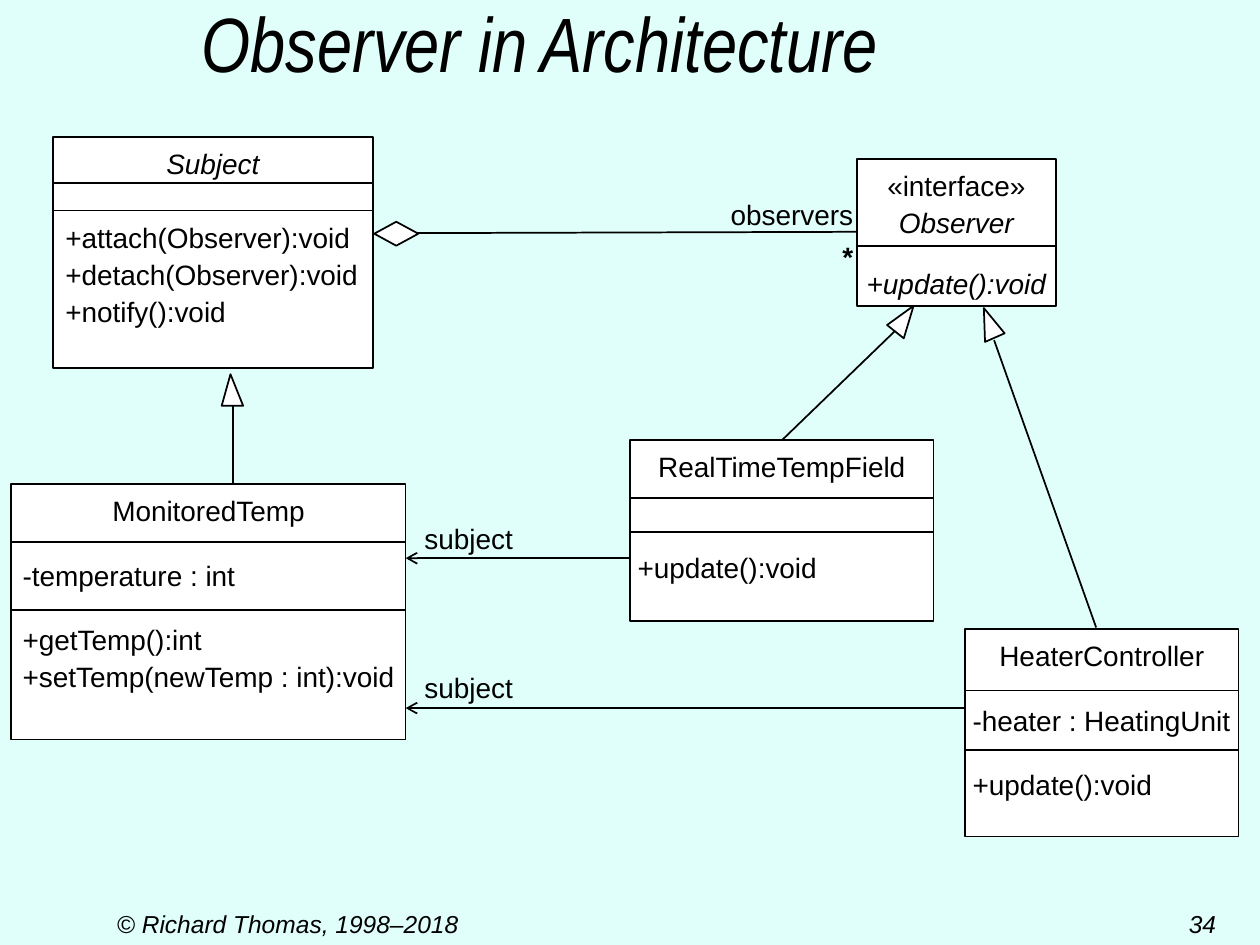
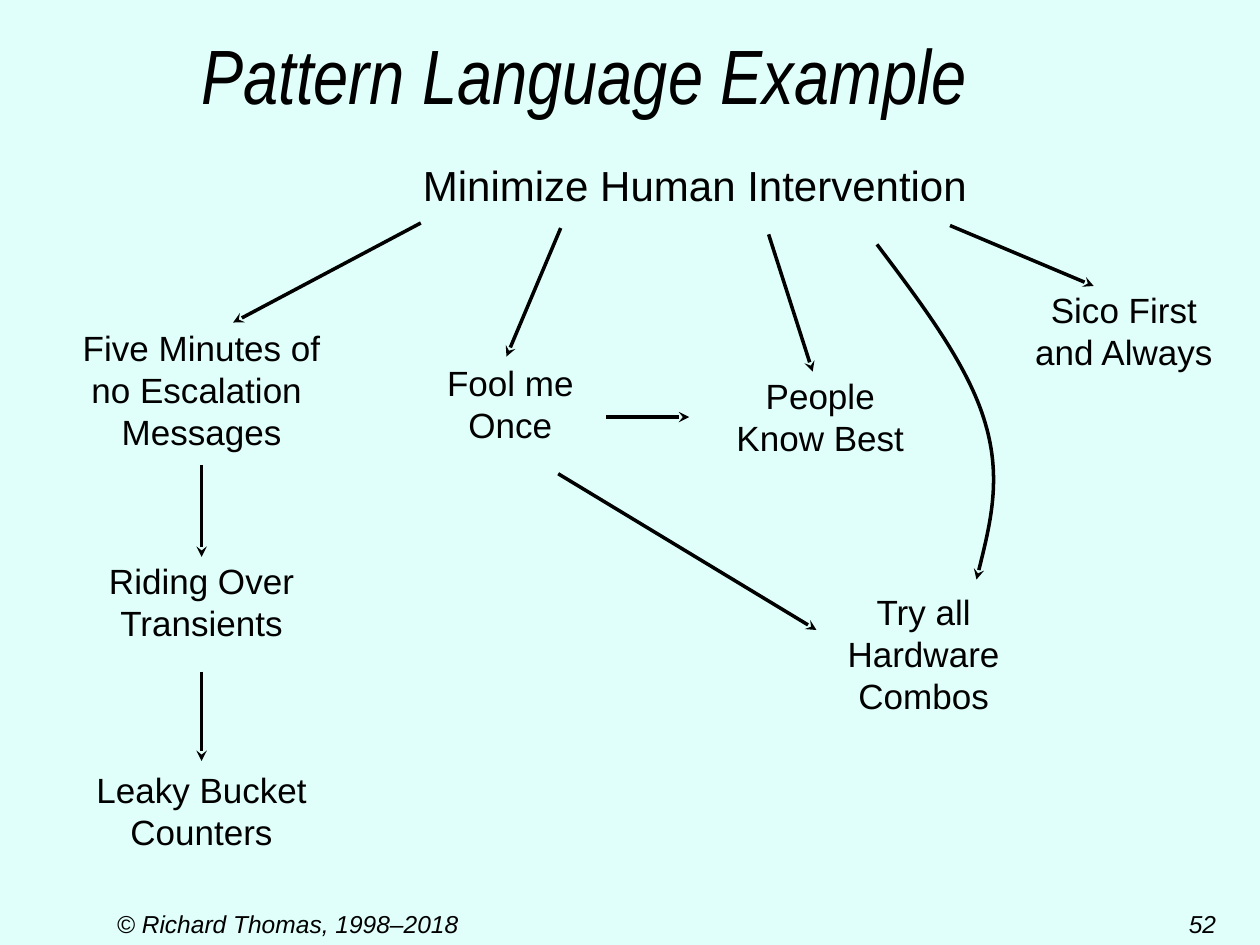
from typing import NamedTuple

from lxml.etree import SubElement
from pptx import Presentation
from pptx.dml.color import RGBColor
from pptx.enum.shapes import MSO_CONNECTOR as Connector, MSO_SHAPE as Preset
from pptx.enum.text import MSO_ANCHOR as Anchor, MSO_AUTO_SIZE as AutoSize, PP_ALIGN as Align
from pptx.oxml.ns import qn
from pptx.util import Inches, Pt

BACKGROUND = RGBColor(0xE1, 0xFF, 0xFA)
BLACK = RGBColor(0, 0, 0)
WHITE = RGBColor(0xFF, 0xFF, 0xFF)
BODY_FONT = "Arial"
TITLE_FONT = "Arial Narrow"
COPYRIGHT = "© Richard Thomas, 1998–2018"


class Row(NamedTuple):
    """One paragraph; gap is the space before it in points."""
    text: str
    gap: float = 0
    align: Align = Align.LEFT
    italic: bool = False
    bold: bool = False


class Box(NamedTuple):
    left: float
    top: float
    width: float
    height: float

    def emu(self) -> list:
        return [Inches(value) for value in self]


class UmlClass(NamedTuple):
    box: Box
    rows: list[Row]
    dividers: list[float]
    side_inset: float = 0.1


class Label(NamedTuple):
    box: Box
    rows: list[Row]
    size: float = 20
    spacing: float = 1.0


class Link(NamedTuple):
    x1: float
    y1: float
    x2: float
    y2: float
    arrow: str = ""


class Triangle(NamedTuple):
    """Generalization arrowhead; peak is the place of the tip along its width."""
    left: float
    top: float
    rotation: float = 0
    peak: float = 0.41


def centred(*lines: str) -> list[Row]:
    return [Row(line, align=Align.CENTER) for line in lines]


def write_rows(frame, rows: list[Row], size: float, spacing: float = 1.0, font: str = BODY_FONT) -> None:
    for index, row in enumerate(rows):
        paragraph = frame.add_paragraph() if index else frame.paragraphs[0]
        paragraph.text = row.text
        paragraph.alignment = row.align
        paragraph.line_spacing = spacing
        if row.gap:
            paragraph.space_before = Pt(row.gap)
        for run in paragraph.runs:
            run.font.name = font
            run.font.size = Pt(size)
            run.font.italic = row.italic
            run.font.bold = row.bold
            run.font.color.rgb = BLACK


def style_outline(line, width: float, arrow: str = "") -> None:
    line.color.rgb = BLACK
    line.width = Pt(width)
    if arrow:
        SubElement(line._get_or_add_ln(), qn("a:tailEnd"), type=arrow)


def add_link(slide, link: Link, width: float) -> None:
    ends = [Inches(value) for value in link[:4]]
    connector = slide.shapes.add_connector(Connector.STRAIGHT, *ends)
    style_outline(connector.line, width, link.arrow)
    SubElement(connector._element.spPr, qn("a:effectLst"))


def add_outlined(slide, preset: Preset, box: Box):
    shape = slide.shapes.add_shape(preset, *box.emu())
    shape.shadow.inherit = False
    shape.fill.solid()
    shape.fill.fore_color.rgb = WHITE
    style_outline(shape.line, 1)
    return shape


def add_class(slide, uml: UmlClass) -> None:
    box = uml.box
    frame = add_outlined(slide, Preset.RECTANGLE, box).text_frame
    frame.word_wrap = False
    frame.vertical_anchor = Anchor.TOP
    frame.margin_left = frame.margin_right = Inches(uml.side_inset)
    write_rows(frame, uml.rows, 16, 1.1)
    for y in uml.dividers:
        add_link(slide, Link(box.left, y, box.left + box.width, y), 1)


def add_triangle(slide, triangle: Triangle) -> None:
    shape = add_outlined(slide, Preset.ISOSCELES_TRIANGLE, Box(triangle.left, triangle.top, 0.17, 0.25))
    shape.adjustments[0] = triangle.peak
    shape.rotation = triangle.rotation


def add_label(slide, label: Label) -> None:
    frame = slide.shapes.add_textbox(*label.box.emu()).text_frame
    frame.word_wrap = False
    frame.auto_size = AutoSize.SHAPE_TO_FIT_TEXT
    write_rows(frame, label.rows, label.size, label.spacing)


def add_curve(slide, points: list[tuple[float, float]], width: float, arrow: str) -> None:
    """Draw cubic curves: a start, then two controls and an end for each."""
    start, *rest = [(Inches(x), Inches(y)) for x, y in points]
    builder = slide.shapes.build_freeform(*start)
    builder.add_line_segments(rest, close=False)
    curve = builder.convert_to_shape()
    curve.shadow.inherit = False
    curve.fill.background()
    style_outline(curve.line, width, arrow)
    outline = next(curve._element.iter(qn("a:path")))
    segments = outline.findall(qn("a:lnTo"))
    for first in range(0, len(segments), 3):
        bezier = SubElement(outline, qn("a:cubicBezTo"))
        for segment in segments[first:first + 3]:
            bezier.append(segment[0])
            outline.remove(segment)


def add_slide(deck, title: str, title_height: float, number: int):
    slide = deck.slides.add_slide(deck.slide_layouts[6])
    slide.background.fill.solid()
    slide.background.fill.fore_color.rgb = BACKGROUND

    frame = slide.shapes.add_textbox(*Box(1.5, 0, 8.5, title_height).emu()).text_frame
    frame.word_wrap = True
    frame.vertical_anchor = Anchor.BOTTOM
    write_rows(frame, [Row(title, italic=True)], 44, font=TITLE_FONT)

    for box, text, align in (
        (Box(0.83, 7.17, 3.2, 0.33), COPYRIGHT, Align.LEFT),
        (Box(9.17, 7.17, 0.58, 0.33), str(number), Align.RIGHT),
    ):
        frame = slide.shapes.add_textbox(*box.emu()).text_frame
        frame.word_wrap = True
        frame.vertical_anchor = Anchor.MIDDLE
        write_rows(frame, [Row(text, align=align, italic=True)], 14)
    return slide


CLASSES = [
    UmlClass(Box(0.42, 1.09, 2.54, 1.83), [
        Row("Subject", align=Align.CENTER, italic=True),
        Row("+attach(Observer):void", gap=21),
        Row("+detach(Observer):void"),
        Row("+notify():void"),
    ], [1.45, 1.67]),
    UmlClass(Box(6.8, 1.26, 1.58, 1.17), [
        Row("«interface»", align=Align.CENTER),
        Row("Observer", align=Align.CENTER, italic=True),
        Row("+update():void", gap=13.8, italic=True),
    ], [1.95]),
    UmlClass(Box(0.09, 3.84, 3.13, 2.03), [
        Row("MonitoredTemp", align=Align.CENTER),
        Row("-temperature : int", gap=16),
        Row("+getTemp():int", gap=15.5),
        Row("+setTemp(newTemp : int):void"),
    ], [4.3, 4.84]),
    UmlClass(Box(5, 3.49, 2.41, 1.44), [
        Row("RealTimeTempField", align=Align.CENTER),
        Row("+update():void", gap=37),
    ], [3.95, 4.22], 0.06),
    UmlClass(Box(7.66, 4.99, 2.17, 1.65), [
        Row("HeaterController", align=Align.CENTER),
        Row("-heater : HeatingUnit", gap=16),
        Row("+update():void", gap=15.5),
    ], [5.48, 5.95], 0.06),
]
INHERITANCE_TIPS = [
    Triangle(1.76, 2.97),
    Triangle(7.1, 2.41, 38.6),
    Triangle(7.76, 2.44, 336.2, 0.59),
]
RELATIONS = [
    Link(1.85, 3.22, 1.85, 3.84),
    Link(7.1, 2.63, 6.21, 3.49),
    Link(8.7, 4.98, 7.89, 2.7),
    Link(3.31, 1.85, 6.8, 1.84),
    Link(4.99, 4.43, 3.22, 4.43, "arrow"),
    Link(7.66, 5.62, 3.22, 5.62, "arrow"),
]
ROLES = [
    Label(Box(5.68, 1.45, 1.19, 0.77),
          [Row("observers", align=Align.RIGHT), Row("*", align=Align.RIGHT, bold=True)], 16, 1.25),
    *(Label(Box(3.27, top, 0.91, 0.37), [Row("subject")], 16) for top in (4.09, 5.27)),
]

PATTERNS = [
    Label(Box(3.23, 1.22, 4.57, 0.5), centred("Minimize Human Intervention"), 24),
    Label(Box(0.55, 2.54, 2.1, 1.11), centred("Five Minutes of", "no Escalation ", "Messages")),
    Label(Box(0.76, 4.39, 1.68, 0.77), centred("Riding Over", "Transients")),
    Label(Box(0.66, 6.05, 1.88, 0.77), centred("Leaky Bucket", "Counters")),
    Label(Box(3.44, 2.82, 1.22, 0.77), centred("Fool me", "Once")),
    Label(Box(5.74, 2.92, 1.54, 0.77), centred("People", "Know Best")),
    Label(Box(6.62, 4.64, 1.42, 1.11), centred("Try all", "Hardware\vCombos")),
    Label(Box(8.11, 2.24, 1.62, 0.77), centred("Sico First", "and Always")),
]
PATTERN_LINKS = [
    Link(*ends, "stealth") for ends in (
        (3.34, 1.77, 1.85, 2.56),
        (4.45, 1.81, 4.02, 2.83),
        (6.1, 1.86, 6.45, 2.95),
        (7.54, 1.79, 8.68, 2.27),
        (1.6, 3.69, 1.6, 4.42),
        (1.6, 5.33, 1.6, 6.04),
        (4.43, 3.76, 6.48, 5),
        (4.81, 3.31, 5.47, 3.31),
    )
]
HARDWARE_CURVE = [
    (6.96, 1.94),
    (7.33, 2.43), (7.69, 2.91), (7.82, 3.36),
    (7.95, 3.8), (7.85, 4.2), (7.75, 4.6),
]


def build_observer_slide(deck) -> None:
    slide = add_slide(deck, "Observer in Architecture", 0.75, 34)
    for uml in CLASSES:
        add_class(slide, uml)
    for tip in INHERITANCE_TIPS:
        add_triangle(slide, tip)
    add_outlined(slide, Preset.DIAMOND, Box(2.97, 1.76, 0.35, 0.19))
    for relation in RELATIONS:
        add_link(slide, relation, 1)
    for role in ROLES:
        add_label(slide, role)


def build_pattern_slide(deck) -> None:
    slide = add_slide(deck, "Pattern Language Example", 1, 52)
    for pattern in PATTERNS:
        add_label(slide, pattern)
    for link in PATTERN_LINKS:
        add_link(slide, link, 2)
    add_curve(slide, HARDWARE_CURVE, 2, "stealth")


def main() -> None:
    deck = Presentation()
    deck.slide_width, deck.slide_height = Inches(10), Inches(7.5)
    build_observer_slide(deck)
    build_pattern_slide(deck)
    deck.save("out.pptx")


if __name__ == "__main__":
    main()
